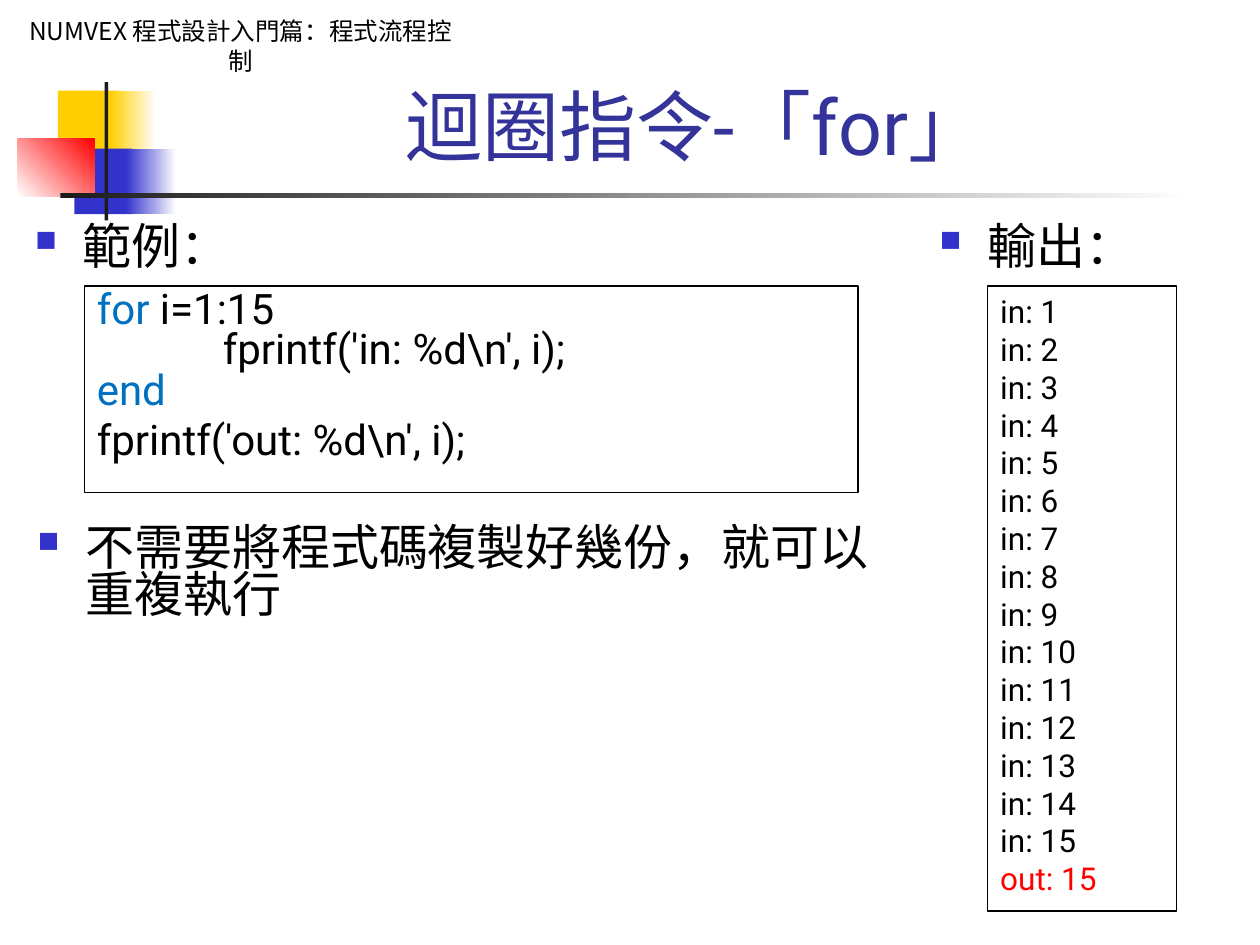
from dataclasses import dataclass
from typing import Optional

from lxml import etree
from pptx import Presentation
from pptx.dml.color import RGBColor
from pptx.enum.shapes import MSO_SHAPE
from pptx.enum.text import MSO_ANCHOR, MSO_AUTO_SIZE, PP_ALIGN
from pptx.oxml.ns import qn
from pptx.util import Inches, Pt

RECT = MSO_SHAPE.RECTANGLE
TOP, BOTTOM = MSO_ANCHOR.TOP, MSO_ANCHOR.BOTTOM
LEFT, CENTER = PP_ALIGN.LEFT, PP_ALIGN.CENTER
NO_FIT = MSO_AUTO_SIZE.NONE


@dataclass(frozen=True)
class Theme:
    latin: str = "Roboto"
    cjk: str = "Noto Sans CJK SC"
    white: str = "FFFFFF"
    black: str = "000000"
    yellow: str = "FFCF01"
    blue: str = "3333CC"
    red: str = "FF0000"
    ink: str = "1C1C1C"
    title: str = "333399"
    keyword: str = "0070C0"
    title_size: int = 44
    bullet_size: int = 28
    code_size: int = 24
    output_size: int = 18
    header_size: int = 14


T = Theme()


@dataclass(frozen=True)
class Box:
    x: float
    y: float
    w: float
    h: float

    def emu(self) -> list:
        return [Inches(v) for v in (self.x, self.y, self.w, self.h)]


@dataclass(frozen=True)
class Block:
    """Decorative rectangle; fades from color to end when end is given."""
    box: Box
    color: str
    end: Optional[str] = None
    angle: int = 0


@dataclass(frozen=True)
class Bullet:
    box: Box
    text: str


@dataclass(frozen=True)
class Line:
    """One paragraph: (text, colour) runs and a line spacing."""
    runs: tuple
    spacing: float = 1.0


BLOCKS = (
    Block(Box(0.46, 0.72, 0.48, 0.52), T.yellow),
    Block(Box(0.88, 0.72, 0.36, 0.52), T.yellow, T.white),
    Block(Box(0.59, 1.18, 0.46, 0.52), T.blue),
    Block(Box(1, 1.18, 0.4, 0.52), T.blue, T.white),
    Block(Box(0.14, 1.1, 0.61, 0.46), T.white, T.red, 45),
    Block(Box(0.83, 0.6, 0.03, 1.15), T.ink),
    Block(Box(0.48, 1.53, 9, 0.04), T.ink, T.white),
)

BULLETS = (
    Bullet(Box(0.18, 1.75, 2.22, 0.74), "範例："),
    Bullet(Box(7.36, 1.75, 2.12, 0.5), "輸出："),
    Bullet(Box(0.2, 4.14, 7.05, 0.87), "不需要將程式碼複製好幾份，就可以重複執行"),
)

CODE = (
    Line((("for", T.keyword), (" i=1:15", T.black)), 0.8),
    Line((("\tfprintf('in: %d\\n', i);", T.black),), 0.8),
    Line((("end", T.keyword),), 0.8),
    Line((("fprintf('out: %d\\n', i);", T.black),)),
)

OUTPUT = tuple(Line(((f"in: {i}", T.black),)) for i in range(1, 16)) + (
    Line((("out: 15", T.red),)),)


def rgb(color: str) -> RGBColor:
    return RGBColor.from_string(color)


def add_run(p, text: str, size: int, color: str, font: str = T.latin) -> None:
    r = p.add_run()
    r.text = text
    r.font.size = Pt(size)
    r.font.name = font
    r.font.color.rgb = rgb(color)
    etree.SubElement(r.font._element, qn("a:ea"), typeface=T.cjk)


def add_rect(s, box: Box):
    sp = s.shapes.add_shape(RECT, *box.emu())
    sp.shadow.inherit = False
    sp.fill.background()
    sp.line.fill.background()
    return sp


def add_block(s, block: Block) -> None:
    fill = add_rect(s, block.box).fill
    if block.end is None:
        fill.solid()
        fill.fore_color.rgb = rgb(block.color)
        return
    fill.gradient()
    fill.gradient_angle = block.angle
    for stop, color in zip(fill.gradient_stops, (block.color, block.end)):
        stop.color.rgb = rgb(color)


def add_header(s, box: Box, text: str) -> None:
    sp = add_rect(s, box)
    sp.fill.solid()
    sp.fill.fore_color.rgb = rgb(T.white)
    tf = sp.text_frame
    tf.word_wrap = True
    tf.vertical_anchor = TOP
    p = tf.paragraphs[0]
    p.alignment = CENTER
    p.space_before = Pt(8.8)
    add_run(p, text, T.header_size, T.black, T.cjk)


def set_title(s, box: Box, text: str) -> None:
    sp = s.shapes.title
    sp.left, sp.top, sp.width, sp.height = box.emu()
    tf = sp.text_frame
    tf.auto_size = NO_FIT
    tf.vertical_anchor = BOTTOM
    p = tf.paragraphs[0]
    p.alignment = CENTER
    add_run(p, text, T.title_size, T.title)


def add_bullet(s, bullet: Bullet) -> None:
    tf = s.shapes.add_textbox(*bullet.box.emu()).text_frame
    tf.word_wrap = True
    p = tf.paragraphs[0]
    p.line_spacing = 0.8
    p.space_before = Pt(7)
    # Square bullet with a hanging indent
    pPr = p._p.get_or_add_pPr()
    pPr.set("marL", str(Inches(0.38)))
    pPr.set("indent", str(-Inches(0.38)))
    color = etree.SubElement(pPr, qn("a:buClr"))
    etree.SubElement(color, qn("a:srgbClr"), val=T.blue)
    etree.SubElement(pPr, qn("a:buSzPct"), val="60000")
    etree.SubElement(pPr, qn("a:buChar"), char="■")
    add_run(p, bullet.text, T.bullet_size, T.black)


def add_listing(s, box: Box, lines: tuple, size: int) -> None:
    sp = add_rect(s, box)
    sp.line.color.rgb = rgb(T.black)
    sp.line.width = Pt(0.75)
    tf = sp.text_frame
    tf.word_wrap = False
    tf.vertical_anchor = TOP
    for i, line in enumerate(lines):
        p = tf.add_paragraph() if i else tf.paragraphs[0]
        p.alignment = LEFT
        p.line_spacing = line.spacing
        tabs = etree.SubElement(p._p.get_or_add_pPr(), qn("a:tabLst"))
        etree.SubElement(tabs, qn("a:tab"), pos=str(Inches(1)), algn="l")
        for text, color in line.runs:
            add_run(p, text, size, color)


def main() -> None:
    prs = Presentation()
    prs.slide_width, prs.slide_height = Inches(10), Inches(7.5)
    s = prs.slides.add_slide(prs.slide_layouts[5])

    # Corner decoration, header and title
    for block in BLOCKS:
        add_block(s, block)
    add_header(s, Box(0.08, 0.08, 3.66, 0.57), "NUMVEX 程式設計入門篇：程式流程控制")
    set_title(s, Box(1.26, 0.58, 8.52, 0.83), "迴圈指令-「for」")

    # Bullets with the code and its output
    for bullet in BULLETS:
        add_bullet(s, bullet)
    add_listing(s, Box(0.67, 2.27, 6.14, 1.64), CODE, T.code_size)
    add_listing(s, Box(7.84, 2.27, 1.5, 4.96), OUTPUT, T.output_size)

    prs.save("out.pptx")


if __name__ == "__main__":
    main()
